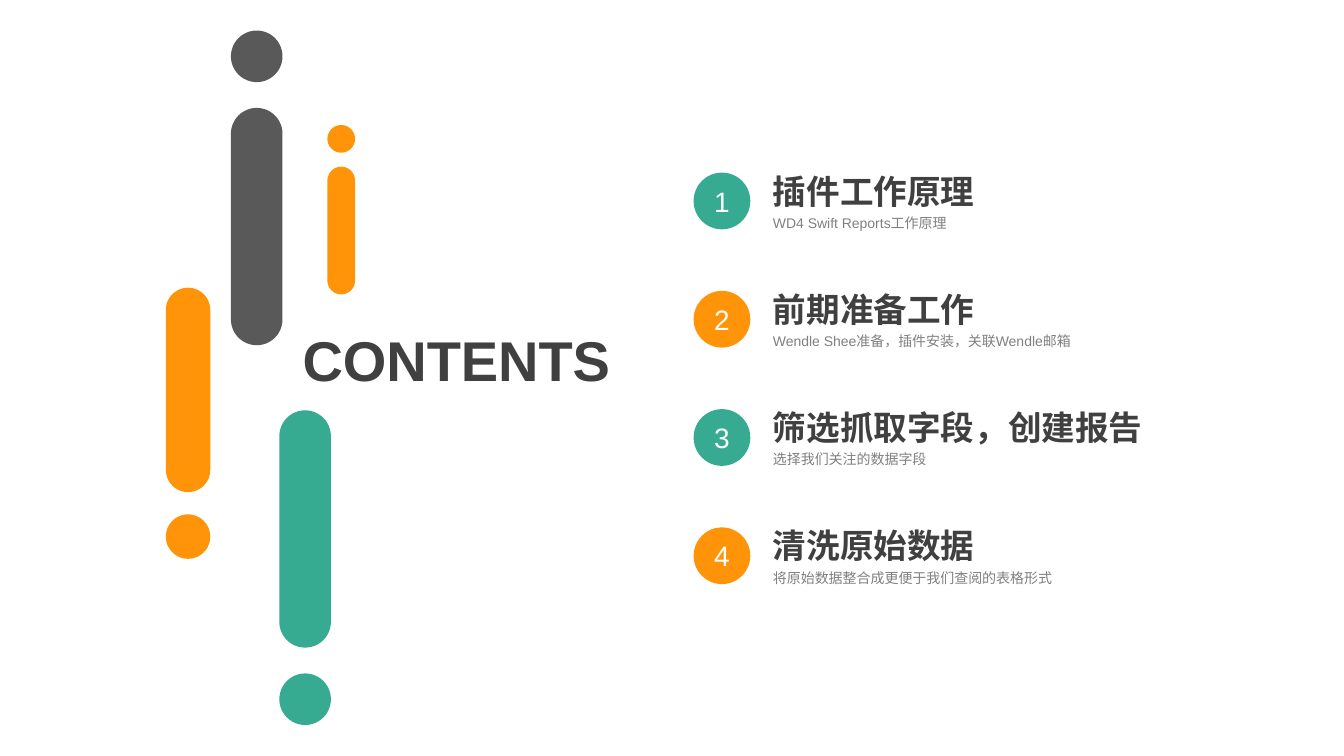
from dataclasses import dataclass

import pptx
import pptx.dml.color
import pptx.enum.shapes
import pptx.enum.text
import pptx.util

Cm = pptx.util.Cm
MSO_SHAPE = pptx.enum.shapes.MSO_SHAPE
MSO_ANCHOR = pptx.enum.text.MSO_ANCHOR
MSO_AUTO_SIZE = pptx.enum.text.MSO_AUTO_SIZE
PP_ALIGN = pptx.enum.text.PP_ALIGN


@dataclass(frozen=True)
class Theme:
    font: str = "Arial"
    grey: str = "595959"
    orange: str = "FF9409"
    green: str = "37AB91"
    dark: str = "404040"
    muted: str = "808080"
    white: str = "FFFFFF"
    title: int = 40
    heading: int = 24
    number: int = 20
    detail: int = 10


theme = Theme()


def add_solid(kind, left, top, width, height, color):
    """Add a borderless filled shape; lengths are in centimetres."""
    sp = s.shapes.add_shape(kind, Cm(left), Cm(top), Cm(width), Cm(height))
    sp.shadow.inherit = False
    sp.fill.solid()
    sp.fill.fore_color.rgb = pptx.dml.color.RGBColor.from_string(color)
    sp.line.fill.background()
    return sp


def write(sp, text, size, color, bold=False, align=PP_ALIGN.LEFT):
    """Put one styled paragraph into a shape."""
    p = sp.text_frame.paragraphs[0]
    p.text = text
    p.alignment = align
    p.font.name = theme.font
    p.font.size = pptx.util.Pt(size)
    p.font.bold = bold
    p.font.color.rgb = pptx.dml.color.RGBColor.from_string(color)


prs = pptx.Presentation()
prs.slide_width = Cm(33.87)
prs.slide_height = Cm(19.05)
s = prs.slides.add_slide(prs.slide_layouts[5])

# Title
title = s.shapes.title
title.left, title.top, title.width, title.height = Cm(7.37), Cm(8.08), Cm(8.48), Cm(1.96)
title.text_frame.word_wrap = False
title.text_frame.auto_size = MSO_AUTO_SIZE.SHAPE_TO_FIT_TEXT
title.text_frame.vertical_anchor = MSO_ANCHOR.TOP
write(title, "CONTENTS", theme.title, theme.dark, bold=True)

# Each bar is 4.6 widths long, with its dot half a width beyond one end
bars = [
    (5.82, 2.72, 1.3, theme.grey, "above"),
    (8.25, 4.2, 0.7, theme.orange, "above"),
    (7.04, 10.34, 1.3, theme.green, "below"),
    (4.18, 7.25, 1.12, theme.orange, "below"),
]
for left, top, width, color, dot_side in bars:
    length = 4.6 * width
    bar = add_solid(MSO_SHAPE.ROUNDED_RECTANGLE, left, top, width, length, color)
    bar.adjustments[0] = 0.5
    dot_top = top - 1.5 * width if dot_side == "above" else top + length + 0.5 * width
    add_solid(MSO_SHAPE.OVAL, left, dot_top, width, width, color)

# Numbered chapters
chapters = [
    ("插件工作原理", "WD4 Swift Reports工作原理", 5.6),
    ("前期准备工作", "Wendle Shee准备，插件安装，关联Wendle邮箱", 5.6),
    ("筛选抓取字段，创建报告", "选择我们关注的数据字段", 9.83),
    ("清洗原始数据", "将原始数据整合成更便于我们查阅的表格形式", 5.6),
]
first_top, pitch = 4.17, 2.98
for i, (heading, detail, heading_width) in enumerate(chapters):
    top = first_top + i * pitch
    color = theme.orange if i % 2 else theme.green

    badge = add_solid(MSO_SHAPE.OVAL, 17.48, top + 0.18, 1.43, 1.43, color)
    badge.text_frame.vertical_anchor = MSO_ANCHOR.MIDDLE
    write(badge, str(i + 1), theme.number, theme.white, align=PP_ALIGN.CENTER)

    heading_box = s.shapes.add_textbox(Cm(19.23), Cm(top), Cm(heading_width), Cm(1.28))
    heading_box.text_frame.word_wrap = False
    heading_box.text_frame.auto_size = MSO_AUTO_SIZE.SHAPE_TO_FIT_TEXT
    write(heading_box, heading, theme.heading, theme.dark, bold=True)

    detail_box = s.shapes.add_textbox(Cm(19.23), Cm(top + 1.11), Cm(11.05), Cm(0.68))
    detail_box.text_frame.word_wrap = True
    detail_box.text_frame.auto_size = MSO_AUTO_SIZE.SHAPE_TO_FIT_TEXT
    write(detail_box, detail, theme.detail, theme.muted)

prs.save("out.pptx")
